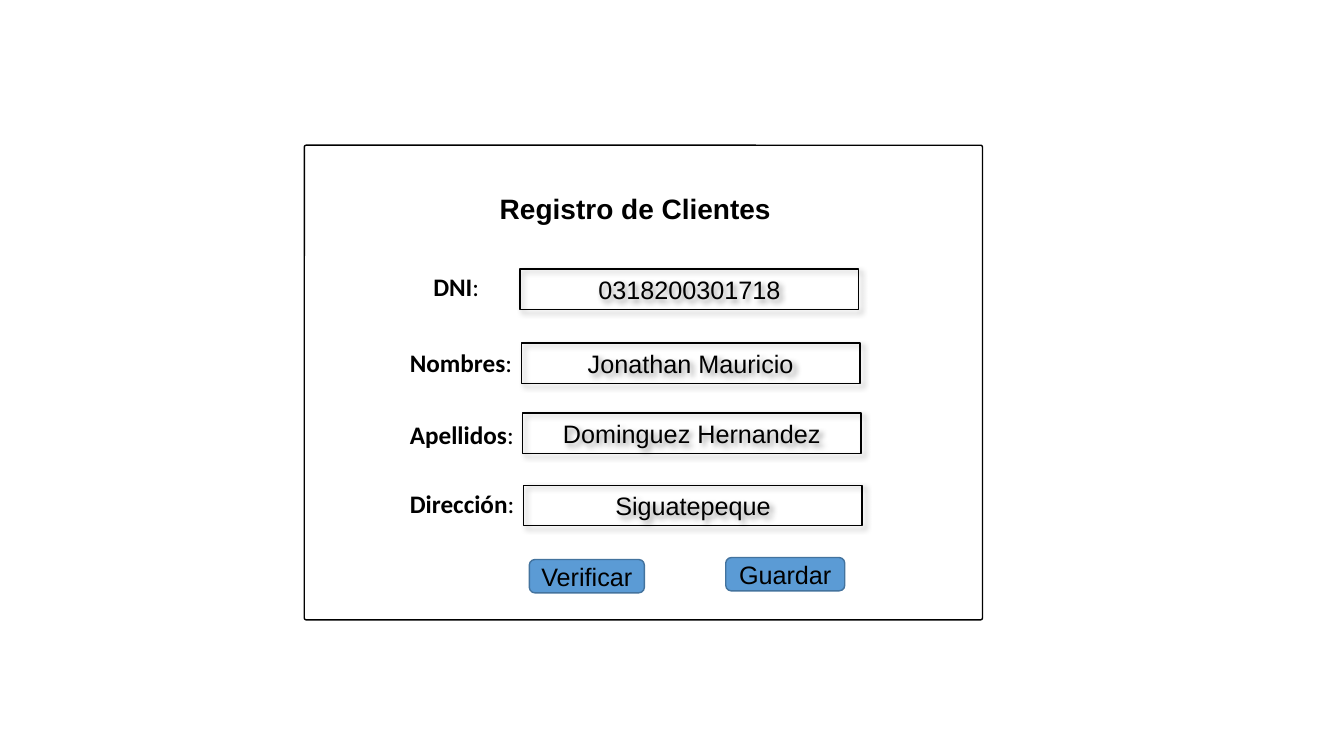
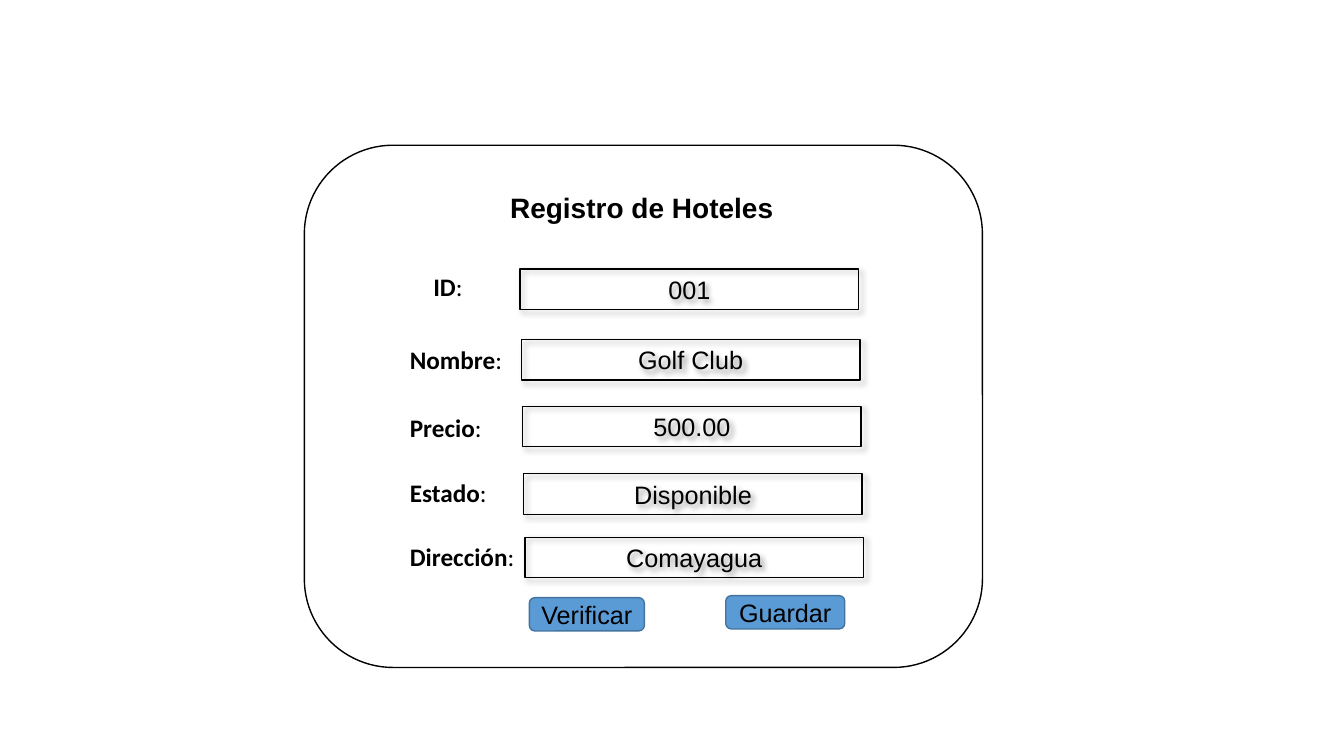
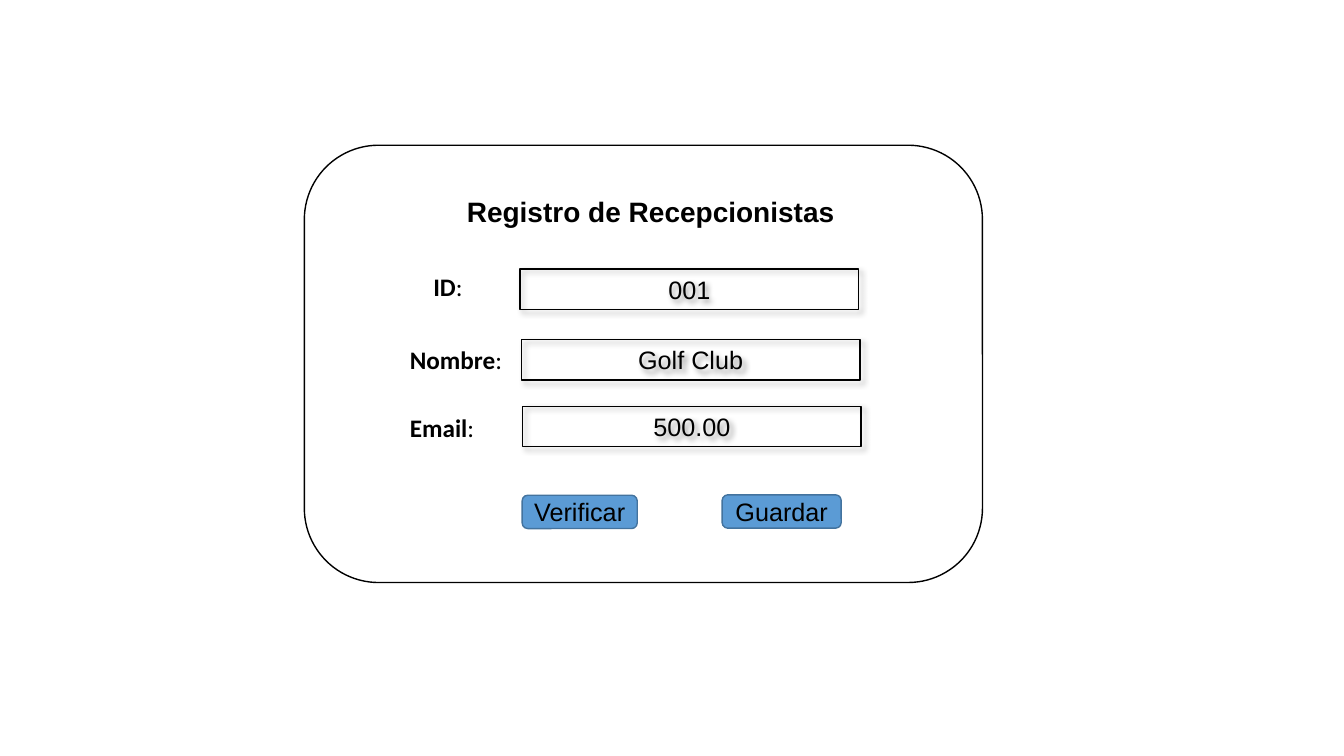
from dataclasses import dataclass

from lxml import etree
from pptx import Presentation
from pptx import util as u
from pptx.dml.color import RGBColor
from pptx.enum import shapes, text
from pptx.oxml import ns


# Theme: colours, fonts and type sizes
@dataclass(frozen=True)
class Theme:
    ink: str = "000000"
    button: str = "5B9BD5"
    button_line: str = "43739E"
    text_font: str = "Arial"
    label_font: str = "Calibri"
    title_size: int = 20
    text_size: int = 18
    line_width: int = 1


# Shared form geometry, in centimetres
PANEL_LEFT, PANEL_TOP, PANEL_WIDTH = 7.67, 3.66, 17.09
TITLE_HEIGHT = 1.11
FIRST_LABEL_LEFT, LABEL_LEFT = 10.67, 10.08
LABEL_OFFSETS = (-0.07, 0, 0.03, -0.04, -0.03)
FIELD_LEFT, FIELD_STEP, FIELD_WIDTH, FIELD_HEIGHT = 13.11, 0.03, 8.53, 1.02
BUTTON_HEIGHT = 0.84
DEFAULT_CORNER = 0.17


class FormDeck:
    def __init__(self, theme):
        self.theme = theme
        self.presentation = Presentation()
        self.presentation.slide_width = u.Cm(33.87)
        self.presentation.slide_height = u.Cm(19.05)
        self.slide = None

    def new_slide(self):
        layout = self.presentation.slide_layouts[5]
        self.slide = self.presentation.slides.add_slide(layout)

    def apply(self, target, **values):
        for name, value in values.items():
            setattr(target, name, value)

    def add_words(self, paragraph, words, size, font, bold=False):
        run = paragraph.add_run()
        run.text = words
        self.apply(run.font, name=font, size=u.Pt(size), bold=bold)
        run.font.color.rgb = RGBColor.from_string(self.theme.ink)

    def fit_text(self, shape):
        self.apply(shape.text_frame, word_wrap=False,
                   vertical_anchor=text.MSO_ANCHOR.TOP,
                   auto_size=text.MSO_AUTO_SIZE.SHAPE_TO_FIT_TEXT)
        paragraph = shape.text_frame.paragraphs[0]
        paragraph.alignment = text.PP_ALIGN.LEFT
        return paragraph

    def box(self, kind, left, top, width, height, words="", fill=None, line=None):
        shape = self.slide.shapes.add_shape(
            kind, u.Cm(left), u.Cm(top), u.Cm(width), u.Cm(height))
        shape.shadow.inherit = False
        if fill:
            shape.fill.solid()
            shape.fill.fore_color.rgb = RGBColor.from_string(fill)
        else:
            shape.fill.background()
        shape.line.width = u.Pt(self.theme.line_width)
        shape.line.color.rgb = RGBColor.from_string(line or self.theme.ink)
        if words:
            shape.text_frame.vertical_anchor = text.MSO_ANCHOR.MIDDLE
            paragraph = shape.text_frame.paragraphs[0]
            paragraph.alignment = text.PP_ALIGN.CENTER
            self.add_words(paragraph, words, self.theme.text_size,
                           self.theme.text_font)
        return shape

    def panel(self, height, corner):
        shape = self.box(shapes.MSO_SHAPE.ROUNDED_RECTANGLE,
                         PANEL_LEFT, PANEL_TOP, PANEL_WIDTH, height)
        shape.adjustments[0] = corner

    def title(self, words, left, top, width):
        shape = self.slide.shapes.title
        self.apply(shape, left=u.Cm(left), top=u.Cm(top),
                   width=u.Cm(width), height=u.Cm(TITLE_HEIGHT))
        self.add_words(self.fit_text(shape), words,
                       self.theme.title_size, self.theme.text_font, bold=True)

    def label(self, words, left, top, width):
        shape = self.slide.shapes.add_textbox(
            u.Cm(left), u.Cm(top), u.Cm(width), u.Cm(FIELD_HEIGHT))
        paragraph = self.fit_text(shape)
        for part, bold in ((words, True), (":", False)):
            self.add_words(paragraph, part, self.theme.text_size,
                           self.theme.label_font, bold)

    def field(self, words, left, top):
        shape = self.box(shapes.MSO_SHAPE.RECTANGLE, left, top,
                         FIELD_WIDTH, FIELD_HEIGHT, words)
        # Soft shadow towards the lower right
        effects = shape._element.spPr.find(ns.qn("a:effectLst"))
        shadow = etree.SubElement(
            effects, ns.qn("a:outerShdw"), blurRad=str(u.Pt(4)),
            dist=str(u.Pt(3)), dir="2700000", algn="tl", rotWithShape="0")
        colour = etree.SubElement(shadow, ns.qn("a:srgbClr"), val=self.theme.ink)
        etree.SubElement(colour, ns.qn("a:alpha"), val="40000")

    def button(self, words, left, top, width):
        self.box(shapes.MSO_SHAPE.ROUNDED_RECTANGLE, left, top, width,
                 BUTTON_HEIGHT, words, self.theme.button, self.theme.button_line)

    def form(self, title, panel, fields, buttons):
        self.new_slide()
        self.panel(*panel)
        self.title(*title)
        for row, (name, name_width, value, top) in enumerate(fields):
            label_left = LABEL_LEFT if row else FIRST_LABEL_LEFT
            self.label(name, label_left, top + LABEL_OFFSETS[row], name_width)
            self.field(value, FIELD_LEFT + row * FIELD_STEP, top)
        for button in buttons:
            self.button(*button)


# Form content: label, label width, value, top
FORMS = [
    dict(title=("Registro de Clientes", 12.34, 4.7, 7.39),
         panel=(11.96, 0.004),
         fields=[("DNI", 1.68, "0318200301718", 6.78),
                 ("Nombres", 3.1, "Jonathan Mauricio", 8.64),
                 ("Apellidos", 3.15, "Dominguez Hernandez", 10.41),
                 ("Dirección", 3.18, "Siguatepeque", 12.23)],
         buttons=[("Guardar", 18.29, 14.05, 3), ("Verificar", 13.34, 14.1, 2.9)]),
    dict(title=("Registro de Hoteles", 12.6, 4.67, 7.21),
         panel=(13.16, DEFAULT_CORNER),
         fields=[("ID", 1.27, "001", 6.78),
                 ("Nombre", 2.84, "Golf Club", 8.56),
                 ("Precio", 2.34, "500.00", 10.24),
                 ("Estado", 2.46, "Disponible", 11.94),
                 ("Dirección", 3.18, "Comayagua", 13.54)],
         buttons=[("Guardar", 18.29, 15.01, 3), ("Verificar", 13.34, 15.06, 2.9)]),
    dict(title=("Registro de Recepcionistas", 11.51, 4.78, 9.86),
         panel=(11.02, DEFAULT_CORNER),
         fields=[("ID", 1.27, "001", 6.78),
                 ("Nombre", 2.84, "Golf Club", 8.56),
                 ("Email", 2.16, "500.00", 10.24)],
         buttons=[("Guardar", 18.2, 12.47, 3), ("Verificar", 13.16, 12.48, 2.9)]),
]


def main():
    deck = FormDeck(Theme())
    for form in FORMS:
        deck.form(**form)
    deck.presentation.save("out.pptx")


if __name__ == "__main__":
    main()
